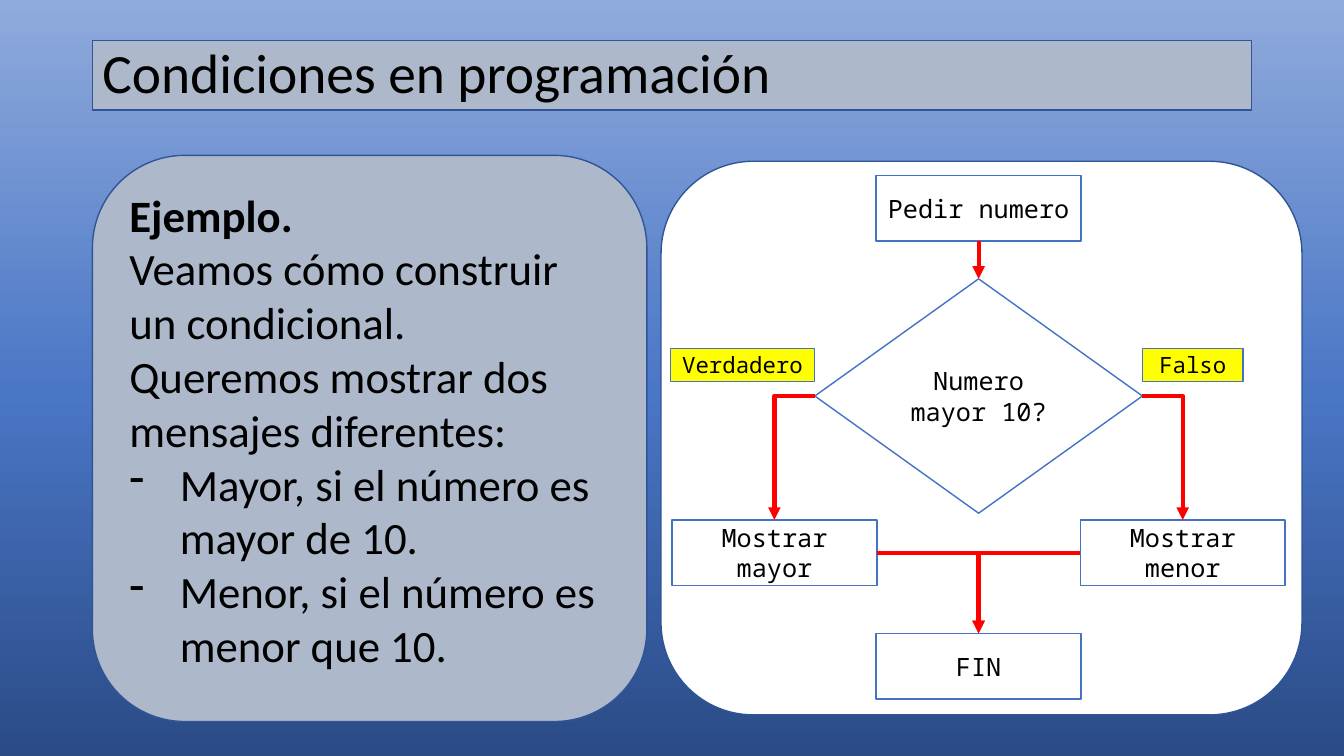
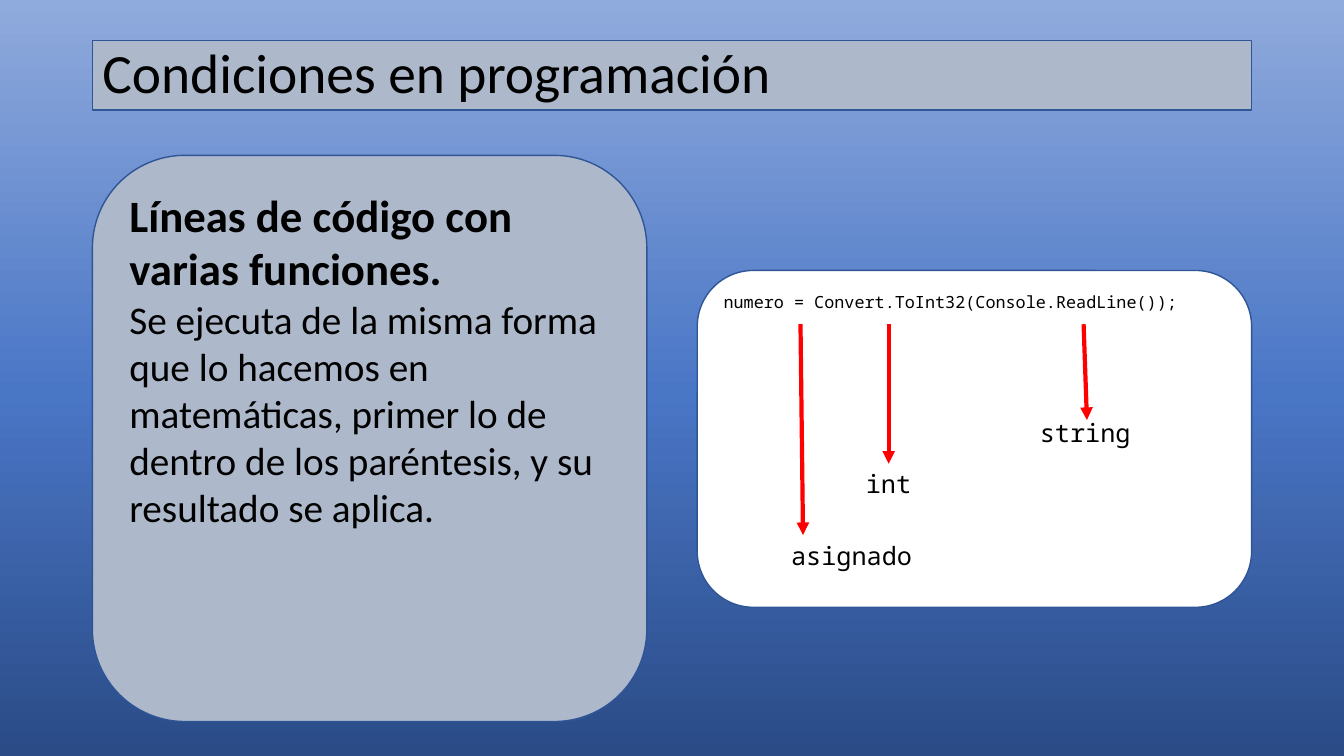
"""Builds two slides about conditions in programming."""
from copy import deepcopy
from dataclasses import dataclass

from pptx import Presentation
from pptx.dml.color import RGBColor
from pptx.enum.shapes import MSO_CONNECTOR, MSO_SHAPE
from pptx.enum.text import MSO_ANCHOR, PP_ALIGN
from pptx.oxml.ns import qn
from pptx.util import Inches, Pt
from lxml.etree import SubElement


@dataclass(frozen=True)
class Theme:
    background: tuple = ((0, "2A4B86"), (0.48, "4A76C6"), (1, "8FAADC"))
    panel: str = "ADB9CA"
    panel_line: str = "2F5597"
    paper: str = "FFFFFF"
    step_line: str = "4472C4"
    answer: str = "FFFF00"
    arrow: str = "FF0000"
    ink: str = "000000"
    body_font: str = "Calibri"
    code_font: str = "Noto Sans Mono"
    title_size: float = 39.6
    lead_size: int = 32
    body_size: int = 28
    step_size: int = 18
    answer_size: int = 16
    code_size: int = 12
    arrow_width: int = 3


THEME = Theme()
COLUMNS, ROWS = 160, 90
TOP, LEFT, BOTTOM, RIGHT = range(4)


def color(value):
    return RGBColor.from_string(value)


def write(box, text, size=THEME.lead_size, font=THEME.body_font, bold=False,
          align=PP_ALIGN.LEFT, spacing=None, bullet=None):
    frame = box.text_frame
    para = frame.add_paragraph() if frame.text else frame.paragraphs[0]
    para.alignment = align
    if spacing:
        para.line_spacing = spacing
    if bullet:
        properties = para._p.get_or_add_pPr()
        properties.set("marL", str(Inches(0.5)))
        properties.set("indent", str(-Inches(0.5)))
        SubElement(properties, qn("a:buChar"), char=bullet)
    span = para.add_run()
    span.text = text
    span.font.size = Pt(size)
    span.font.name = font
    span.font.bold = bold
    span.font.color.rgb = color(THEME.ink)


class Deck:
    def __init__(self):
        self.deck = Presentation()
        self.deck.slide_width = Inches(13.33)
        self.deck.slide_height = Inches(7.5)
        self.page = None

    def place(self, column, row):
        return (round(self.deck.slide_width * column / COLUMNS),
                round(self.deck.slide_height * row / ROWS))

    def new_page(self, title):
        self.page = self.deck.slides.add_slide(self.deck.slide_layouts[6])
        fill = self.page.background.fill
        fill.gradient()
        fill.gradient_angle = 90
        stops = next(self.page.element.iter(qn("a:gsLst")))
        stops.insert(1, deepcopy(stops[0]))
        for stop, (position, value) in zip(fill.gradient_stops, THEME.background):
            stop.position = position
            stop.color.rgb = color(value)
        box = self.shape(MSO_SHAPE.RECTANGLE, 11, 4.8, 138, 8.3,
                         THEME.panel, THEME.panel_line, 0.75)
        write(box, title, size=THEME.title_size, spacing=0.9)

    def shape(self, kind, column, row, width, height, fill, line, weight=1):
        box = self.page.shapes.add_shape(
            kind, *self.place(column, row), *self.place(width, height))
        box.shadow.inherit = False
        box.fill.solid()
        box.fill.fore_color.rgb = color(fill)
        box.line.color.rgb = color(line)
        box.line.width = Pt(weight)
        box.text_frame.word_wrap = True
        box.text_frame.vertical_anchor = MSO_ANCHOR.MIDDLE
        return box

    def card(self, column, row, width, height, fill=THEME.paper):
        box = self.shape(MSO_SHAPE.ROUNDED_RECTANGLE, column, row, width, height,
                         fill, THEME.panel_line)
        box.text_frame.vertical_anchor = MSO_ANCHOR.TOP
        return box

    def explanation(self):
        return self.card(11, 18.5, 66, 67.4, THEME.panel)

    def step(self, text, center, row, width=24.4, height=7.8,
             kind=MSO_SHAPE.RECTANGLE, fill=THEME.paper, size=THEME.step_size):
        box = self.shape(kind, center - width / 2, row, width, height,
                         fill, THEME.step_line)
        write(box, text, size=size, font=THEME.code_font, align=PP_ALIGN.CENTER)
        return box

    def answer(self, text, center, width):
        return self.step(text, center, 41.5, width, 3.9,
                         fill=THEME.answer, size=THEME.answer_size)

    def label(self, text, column, row):
        box = self.page.shapes.add_textbox(
            *self.place(column, row), *self.place(2.4 + 1.8 * len(text), 4.8))
        box.text_frame.word_wrap = False
        write(box, text, size=THEME.step_size, font=THEME.code_font)

    def arrow(self, start=(0, 0), end=(0, 0), kind=MSO_CONNECTOR.STRAIGHT):
        line = self.page.shapes.add_connector(
            kind, *self.place(*start), *self.place(*end))
        line.line.color.rgb = color(THEME.arrow)
        line.line.width = Pt(THEME.arrow_width)
        SubElement(line.line._get_or_add_ln(), qn("a:tailEnd"), type="triangle")
        SubElement(line._element.spPr, qn("a:effectLst"))
        return line

    def link(self, source, source_side, target, bent=True):
        line = self.arrow(kind=MSO_CONNECTOR.ELBOW if bent else MSO_CONNECTOR.STRAIGHT)
        if bent:
            line._element.spPr.find(qn("a:prstGeom")).set("prst", "bentConnector2")
        line.begin_connect(source, source_side)
        line.end_connect(target, TOP)

    def save(self):
        self.deck.save("out.pptx")


def example_page(deck):
    deck.new_page("Condiciones en programación")
    box = deck.explanation()
    write(box, "Ejemplo.", bold=True)
    write(box, "Veamos cómo construir un condicional.")
    write(box, "Queremos mostrar dos mensajes diferentes:")
    write(box, "Mayor, si el número es mayor de 10.", bullet="-")
    write(box, "Menor, si el número es menor que 10.", bullet="-")

    deck.card(78.7, 19.2, 76.3, 65.9)
    center, branch, diamond_width = 116.5, 24.3, 39
    ask = deck.step("Pedir numero", center, 20.9)
    question = deck.step("Numero mayor 10?", center, 33.2, diamond_width, 27.9,
                         kind=MSO_SHAPE.DIAMOND)
    greater = deck.step("Mostrar mayor", center - branch, 61.9)
    smaller = deck.step("Mostrar menor", center + branch, 61.9)
    finish = deck.step("FIN", center, 75.4)
    deck.link(ask, BOTTOM, question, bent=False)
    deck.link(question, RIGHT, smaller)
    deck.link(question, LEFT, greater)
    deck.link(smaller, LEFT, finish)
    deck.link(greater, RIGHT, finish)
    for text, width, side in (("Verdadero", 17.2, -1), ("Falso", 12, 1)):
        deck.answer(text, center + side * (diamond_width + width) / 2, width)


def functions_page(deck):
    deck.new_page("Condiciones en programación")
    box = deck.explanation()
    write(box, "Líneas de código con varias funciones.", bold=True)
    write(box, "Se ejecuta de la misma forma que lo hacemos en matemáticas, "
               "primer lo de dentro de los paréntesis, y su resultado se aplica.",
          size=THEME.body_size)

    code = deck.card(83, 32.2, 66, 40.1)
    write(code, "numero = Convert.ToInt32(Console.ReadLine());",
          size=THEME.code_size, font=THEME.code_font)
    results = (("string", 122.6, 49.1, (129, 129.4), 50),
               ("int", 101.9, 55.2, (105.8, 105.8), 55.2),
               ("asignado", 93, 63.7, (95.3, 95.6), 63.7))
    for text, column, row, (start, end), tip in results:
        deck.arrow((start, 38.6), (end, tip))
        deck.label(text, column, row)


def main():
    deck = Deck()
    example_page(deck)
    functions_page(deck)
    deck.save()


if __name__ == "__main__":
    main()
